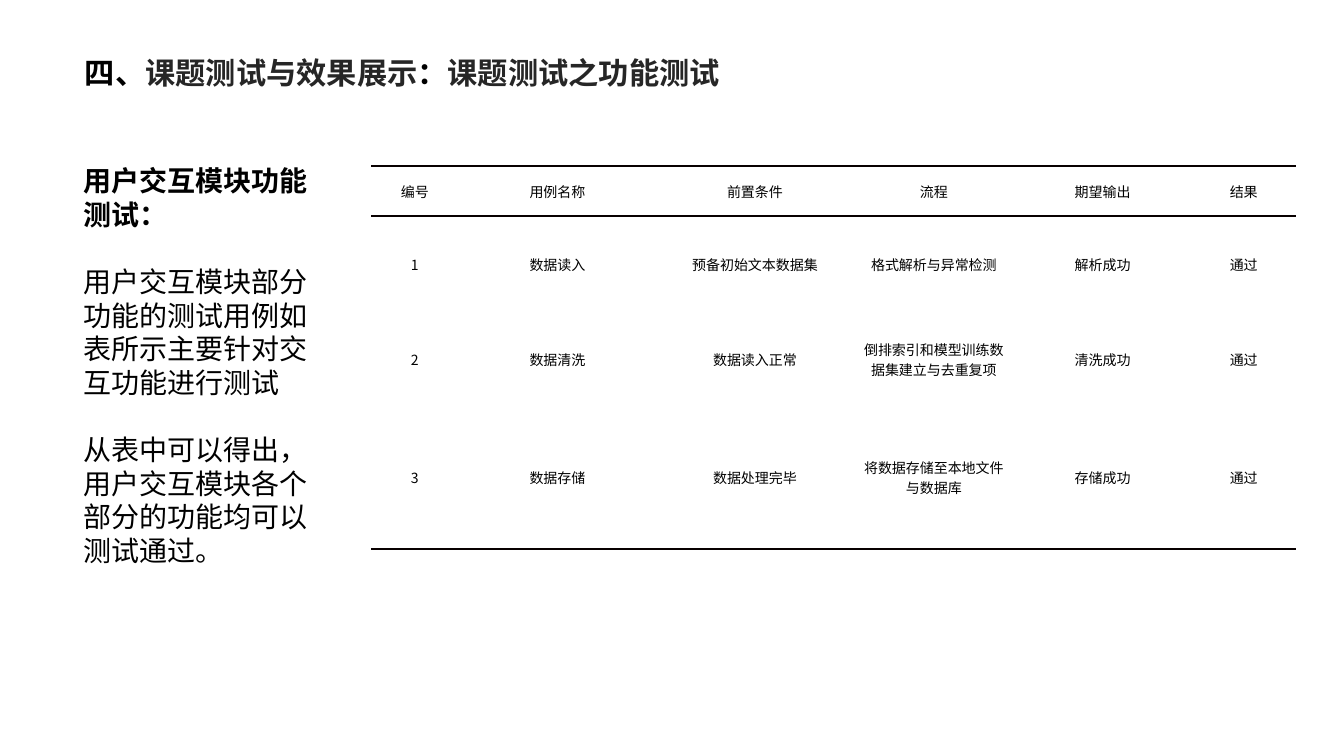
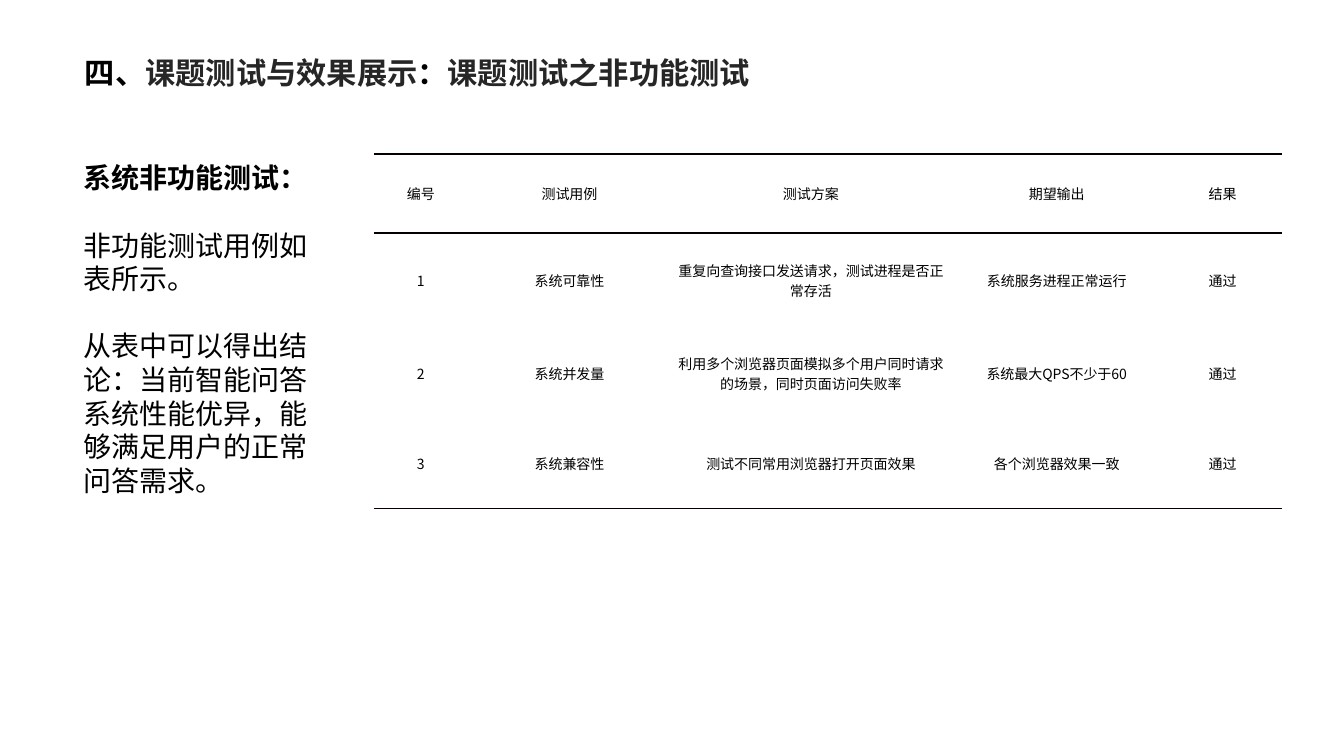
from dataclasses import dataclass

from lxml.etree import SubElement
from pptx import Presentation
from pptx.dml.color import RGBColor
from pptx.enum.text import MSO_ANCHOR as Anchor, MSO_AUTO_SIZE as AutoSize, PP_ALIGN as Align
from pptx.oxml import parse_xml
from pptx.oxml.ns import nsdecls, qn
from pptx.util import Pt


@dataclass(frozen=True)
class Theme:
    black: str = "000000"
    dark: str = "262626"
    rule: str = "080000"
    latin: str = "Arial"
    cjk: str = "Noto Sans CJK SC"
    title_size: float = 21.6
    body_size: float = 20
    body_line: float = 24
    table_size: float = 10


THEME = Theme()
TITLE_BOX = (52.6, 34.6, 854.6, 34.6)

SLIDES = [
    {
        "topic": "课题测试之功能测试",
        "note_box": (52.6, 113.5, 182.2, 295.2),
        "note": [
            "用户交互模块功能测试：",
            "用户交互模块部分功能的测试用例如表所示主要针对交互功能进行测试",
            "从表中可以得出，用户交互模块各个部分的功能均可以测试通过。",
        ],
        "table_at": (265, 118.8),
        "cols": [62.6, 141.1, 141.1, 114.5, 126.7, 74.9],
        "heights": [35.3, 69.1, 67, 102.2],
        "bottom_rule": 1.5,
        "rows": [
            ["编号", "用例名称", "前置条件", "流程", "期望输出", "结果"],
            ["1", "数据读入", "预备初始文本数据集", "格式解析与异常检测", "解析成功", "通过"],
            ["2", "数据清洗", "数据读入正常", "倒排索引和模型训练数据集建立与去重复项", "清洗成功", "通过"],
            ["3", "数据存储", "数据处理完毕", "将数据存储至本地文件与数据库", "存储成功", "通过"],
        ],
    },
    {
        "topic": "课题测试之非功能测试",
        "note_box": (52.6, 111.4, 182.2, 247.2),
        "note": [
            "系统非功能测试：",
            "非功能测试用例如表所示。",
            "从表中可以得出结论：当前智能问答系统性能优异，能够满足用户的正常问答需求。",
        ],
        "table_at": (267.1, 110.2),
        "cols": [67, 145.4, 199.4, 151.9, 85],
        "heights": [56.2, 68.4, 64.1, 64.1],
        "bottom_rule": 1,
        "rows": [
            ["编号", "测试用例", "测试方案", "期望输出", "结果"],
            ["1", "系统可靠性", "重复向查询接口发送请求，测试进程是否正常存活", "系统服务进程正常运行", "通过"],
            ["2", "系统并发量", "利用多个浏览器页面模拟多个用户同时请求的场景，同时页面访问失败率",
             "系统最大QPS不少于60", "通过"],
            ["3", "系统兼容性", "测试不同常用浏览器打开页面效果", "各个浏览器效果一致", "通过"],
        ],
    },
]


def set_attrs(obj, **values):
    for name, value in values.items():
        setattr(obj, name, value)


def add_run(p, text, size, color=THEME.black, bold=False, latin=THEME.cjk):
    r = p.add_run()
    r.text = text
    set_attrs(r.font, size=Pt(size), bold=bold, name=latin)
    r.font.color.rgb = RGBColor.from_string(color)
    SubElement(r._r.get_or_add_rPr(), qn("a:ea")).set("typeface", THEME.cjk)


def add_title(slide, box, topic):
    sp = slide.shapes.title
    left, top, width, height = map(Pt, box)
    set_attrs(sp, left=left, top=top, width=width, height=height)
    tf = sp.text_frame
    set_attrs(tf, word_wrap=True, auto_size=AutoSize.NONE, vertical_anchor=Anchor.MIDDLE,
              margin_left=Pt(8), margin_right=Pt(6), margin_top=Pt(3), margin_bottom=Pt(3))
    p = tf.paragraphs[0]
    p.alignment = Align.LEFT
    for text, color in [("四、", THEME.black), ("课题测试与效果展示", THEME.dark),
                        ("：", THEME.black), (topic, THEME.dark)]:
        add_run(p, text, THEME.title_size, color, True, THEME.latin)


def add_note(slide, box, paragraphs):
    """Place a bold heading followed by paragraphs one line apart."""
    tf = slide.shapes.add_textbox(*map(Pt, box)).text_frame
    set_attrs(tf, word_wrap=True, auto_size=AutoSize.SHAPE_TO_FIT_TEXT)
    for i, text in enumerate(paragraphs):
        p = tf.add_paragraph() if i else tf.paragraphs[0]
        p.line_spacing = Pt(THEME.body_line)
        if i:
            p.space_before = Pt(THEME.body_line)
        add_run(p, text, THEME.body_size, bold=i == 0)


def set_borders(cell, top, bottom):
    """Draw the horizontal rules given in points; zero hides an edge."""
    tc_pr = cell._tc.get_or_add_tcPr()
    edges = {"lnL": 0, "lnR": 0, "lnT": top, "lnB": bottom}
    for i, (tag, width) in enumerate(edges.items()):
        fill = (f'<a:solidFill><a:srgbClr val="{THEME.rule}"/></a:solidFill>'
                if width else "<a:noFill/>")
        tc_pr.insert(i, parse_xml(
            f'<a:{tag} {nsdecls("a")} w="{int(Pt(width))}">{fill}</a:{tag}>'))


def add_ruled_table(slide, at, cols, heights, rows, bottom_rule):
    box = (*at, sum(cols), sum(heights))
    table = slide.shapes.add_table(len(rows), len(cols), *map(Pt, box)).table
    set_attrs(table, first_row=False, horz_banding=False)
    for col, width in zip(table.columns, cols):
        col.width = Pt(width)
    rules = [1.5, 1.5] + [0] * (len(rows) - 2) + [bottom_rule]
    for i, (row, height) in enumerate(zip(table.rows, heights)):
        row.height = Pt(height)
        for cell, text in zip(row.cells, rows[i]):
            set_attrs(cell, vertical_anchor=Anchor.MIDDLE, margin_left=Pt(5),
                      margin_right=Pt(5), margin_top=0, margin_bottom=0)
            cell.fill.background()
            set_borders(cell, rules[i], rules[i + 1])
            p = cell.text_frame.paragraphs[0]
            p.alignment = Align.CENTER
            add_run(p, text, THEME.table_size)


def add_test_slide(prs, data):
    slide = prs.slides.add_slide(prs.slide_layouts[5])
    add_title(slide, TITLE_BOX, data["topic"])
    add_note(slide, data["note_box"], data["note"])
    add_ruled_table(slide, data["table_at"], data["cols"], data["heights"],
                    data["rows"], data["bottom_rule"])


def main():
    prs = Presentation()
    set_attrs(prs, slide_width=Pt(960), slide_height=Pt(540))
    for data in SLIDES:
        add_test_slide(prs, data)
    prs.save("out.pptx")


if __name__ == "__main__":
    main()
